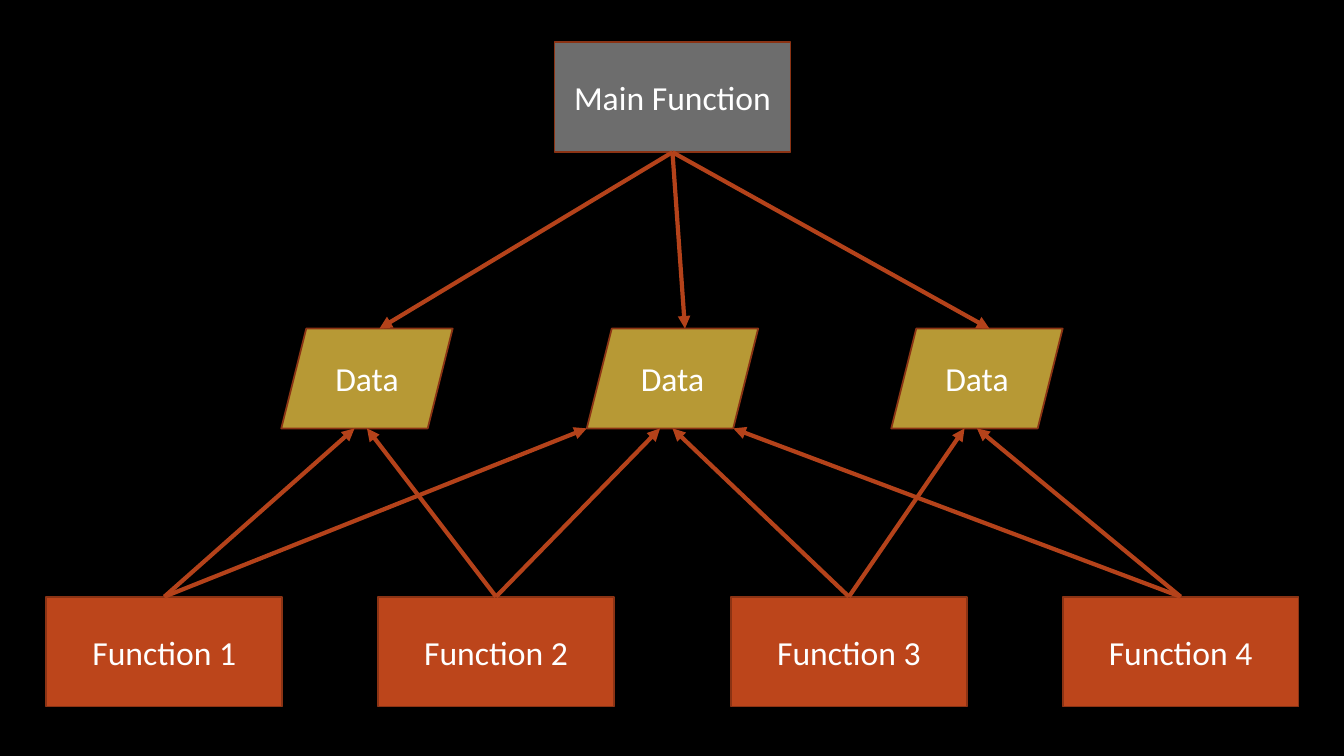
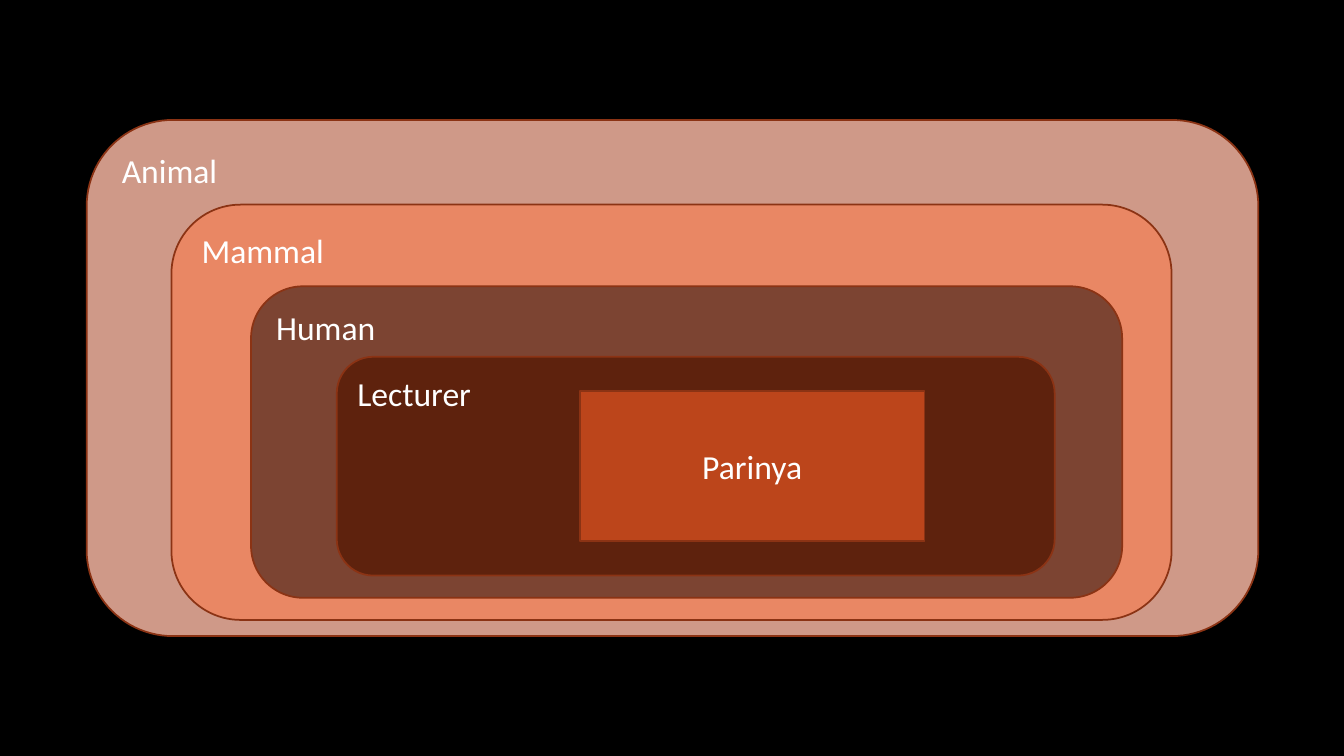
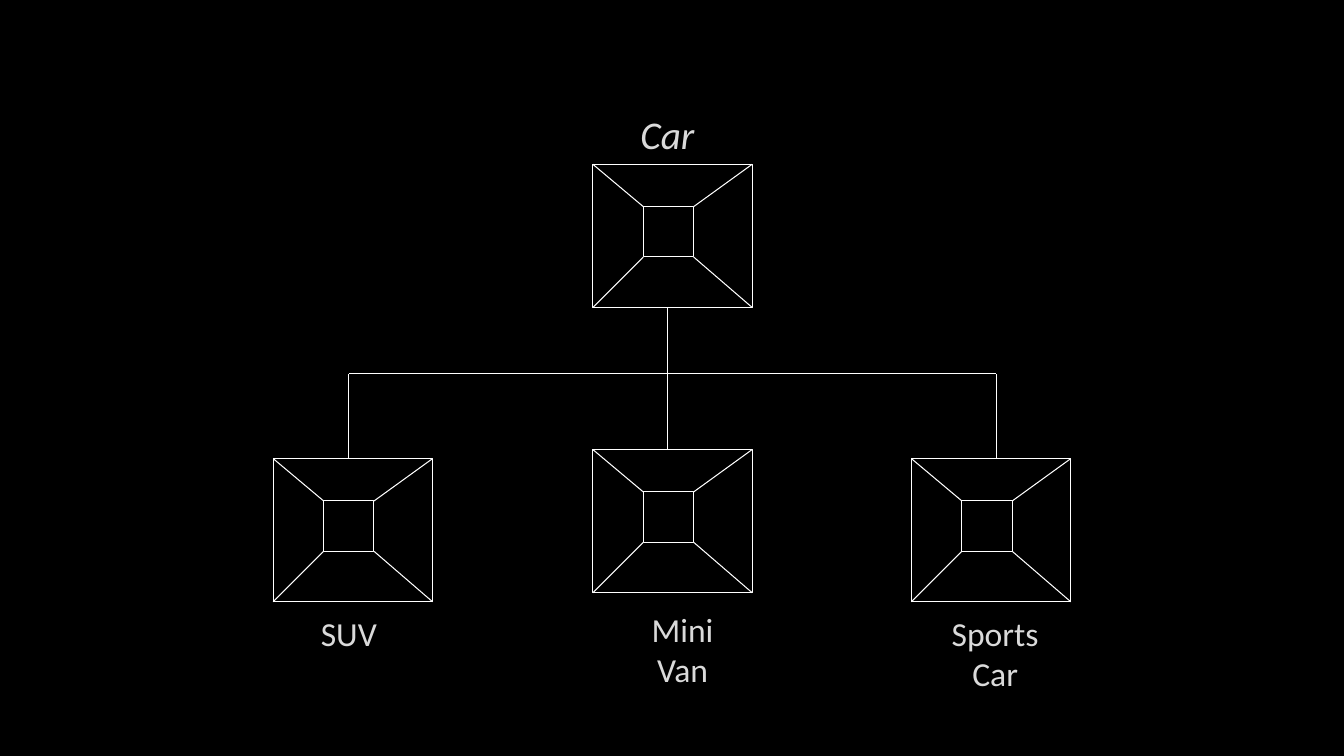
from pptx import Presentation
from pptx.dml.color import RGBColor
from pptx.enum.shapes import MSO_CONNECTOR, MSO_SHAPE
from pptx.enum.text import MSO_ANCHOR, PP_ALIGN
from pptx.oxml.ns import qn
from pptx.util import Inches, Pt
from lxml.etree import SubElement

BLACK = RGBColor(0x00, 0x00, 0x00)
WHITE = RGBColor(0xFF, 0xFF, 0xFF)
LABEL_GRAY = RGBColor(0xDA, 0xDA, 0xDA)
GRAY = RGBColor(0x6D, 0x6D, 0x6D)
GOLD = RGBColor(0xB7, 0x99, 0x35)
RUST = RGBColor(0xBC, 0x45, 0x1B)
OUTLINE = RGBColor(0x8B, 0x33, 0x14)
ARROW = RGBColor(0xB4, 0x42, 0x1A)
ROSE = RGBColor(0xCF, 0x99, 0x88)
SALMON = RGBColor(0xE9, 0x87, 0x64)
BROWN = RGBColor(0x7C, 0x44, 0x32)
DARK_BROWN = RGBColor(0x5E, 0x22, 0x0D)

FONT = "Calibri"
TOP_SITE, BOTTOM_SITE = 0, 2  # connection sites of a rectangle


class Deck:
    """Holds the shared style and the slide being built."""

    def __init__(self):
        self.presentation = Presentation()
        self.presentation.slide_width = Inches(13.33)
        self.presentation.slide_height = Inches(7.5)
        self.slide = None

    def new_slide(self):
        self.slide = self.presentation.slides.add_slide(
            self.presentation.slide_layouts[6])
        self.slide.background.fill.solid()
        self.slide.background.fill.fore_color.rgb = BLACK

    def set_text(self, text_frame, text, size, color, align, italic=None):
        text_frame.word_wrap = True
        text_frame.text = text
        paragraph = text_frame.paragraphs[0]
        paragraph.alignment = align
        font = paragraph.runs[0].font
        font.name, font.size, font.italic = FONT, Pt(size), italic
        font.color.rgb = color

    def box(self, kind, left, top, width, height, fill, text, centered=True):
        shape = self.slide.shapes.add_shape(
            kind, Inches(left), Inches(top), Inches(width), Inches(height))
        shape.shadow.inherit = False
        shape.fill.solid()
        shape.fill.fore_color.rgb = fill
        shape.line.color.rgb = OUTLINE
        shape.line.width = Pt(1.25)
        align = PP_ALIGN.CENTER if centered else PP_ALIGN.LEFT
        self.set_text(shape.text_frame, text, 24, WHITE, align)
        shape.text_frame.vertical_anchor = (
            MSO_ANCHOR.MIDDLE if centered else MSO_ANCHOR.TOP)
        return shape

    def label(self, left, top, width, height, text, size=24, italic=None):
        shape = self.slide.shapes.add_textbox(
            Inches(left), Inches(top), Inches(width), Inches(height))
        self.set_text(shape.text_frame, text, size, LABEL_GRAY,
                      PP_ALIGN.CENTER, italic)

    def line(self, start, end, color=WHITE, width=0.75, shapes=None):
        shapes = self.slide.shapes if shapes is None else shapes
        connector = shapes.add_connector(
            MSO_CONNECTOR.STRAIGHT, *(Inches(value) for value in (*start, *end)))
        connector.line.color.rgb = color
        connector.line.width = Pt(width)
        SubElement(connector._element.spPr, qn("a:effectLst"))
        return connector

    def arrow(self, source, site, end):
        connector = self.line((0, 0), end, ARROW, 3)
        connector.begin_connect(source, site)
        outline = connector._element.spPr.find(qn("a:ln"))
        SubElement(outline, qn("a:tailEnd"), type="triangle")

    def class_icon(self, left, top):
        """A small square inside a frame, joined to it corner by corner."""
        width, height, side = 1.58, 1.42, 0.5
        inner_left, inner_top = left + 0.5, top + 0.42
        shapes = self.slide.shapes.add_group_shape().shapes
        for area in ((inner_left, inner_top, side, side), (left, top, width, height)):
            frame = shapes.add_shape(
                MSO_SHAPE.RECTANGLE, *(Inches(value) for value in area))
            frame.shadow.inherit = False
            frame.fill.background()
            frame.line.color.rgb = WHITE
            frame.line.width = Pt(0.75)
        for across in (0, 1):
            for down in (0, 1):
                self.line((left + across * width, top + down * height),
                          (inner_left + across * side, inner_top + down * side),
                          shapes=shapes)


def build_function_slide(deck):
    deck.new_slide()
    data_lefts = (2.79, 5.82, 8.84)
    data_top, data_width, data_height = 3.26, 1.7, 0.99
    slant = data_height / 4
    data_bottom = data_top + data_height

    # Main function and the data it owns
    main_box = deck.box(MSO_SHAPE.RECTANGLE, 5.5, 0.42, 2.34, 1.09,
                        GRAY, "Main Function")
    for left in data_lefts:
        deck.box(MSO_SHAPE.PARALLELOGRAM, left, data_top, data_width, data_height,
                 GOLD, "Data")
        deck.arrow(main_box, BOTTOM_SITE, (left + (data_width + slant) / 2, data_top))

    # Functions, each with (data index, offset along its lower edge)
    lower_middle, center = (data_width - slant) / 2, data_width / 2
    lower_right = data_width - slant
    functions = (
        (0.46, ((0, lower_middle), (1, 0))),
        (3.75, ((0, center), (1, lower_middle))),
        (7.25, ((1, center), (2, lower_middle))),
        (10.54, ((1, lower_right), (2, center))),
    )
    for number, (left, targets) in enumerate(functions, 1):
        function = deck.box(MSO_SHAPE.RECTANGLE, left, 5.92, 2.34, 1.09,
                            RUST, f"Function {number}")
        for index, offset in targets:
            deck.arrow(function, TOP_SITE, (data_lefts[index] + offset, data_bottom))


def build_nesting_slide(deck):
    deck.new_slide()
    # Categories from the widest to the narrowest
    categories = (
        ("Animal", ROSE, 0.86, 1.19, 11.62, 5.12),
        ("Mammal", SALMON, 1.7, 2.03, 9.92, 4.12),
        ("Human", BROWN, 2.49, 2.84, 8.64, 3.09),
        ("Lecturer", DARK_BROWN, 3.34, 3.54, 7.12, 2.17),
    )
    for name, fill, *area in categories:
        deck.box(MSO_SHAPE.ROUNDED_RECTANGLE, *area, fill, name, centered=False)
    deck.box(MSO_SHAPE.RECTANGLE, 5.75, 3.88, 3.42, 1.49, RUST, "Parinya")


def build_inheritance_slide(deck):
    deck.new_slide()
    # Parent and child classes
    for left, top in ((5.88, 1.63), (9.04, 4.55), (5.88, 4.46), (2.71, 4.55)):
        deck.class_icon(left, top)

    # Tree lines
    branch_top, first, middle, last = 3.71, 3.46, 6.62, 9.88
    deck.line((middle, 3.05), (middle, 4.46))
    deck.line((first, branch_top), (last, branch_top))
    for x in (first, last):
        deck.line((x, branch_top), (x, 4.55))

    # Class names
    deck.label(6.12, 1.05, 1, 0.57, "Car", 28, italic=True)
    deck.label(2.46, 6.03, 2, 0.5, "SUV")
    deck.label(6.08, 5.99, 1.38, 0.91, "Mini Van")
    deck.label(9.08, 6.03, 1.58, 0.91, "Sports Car")


def main():
    deck = Deck()
    build_function_slide(deck)
    build_nesting_slide(deck)
    build_inheritance_slide(deck)
    deck.presentation.save("out.pptx")


if __name__ == "__main__":
    main()
